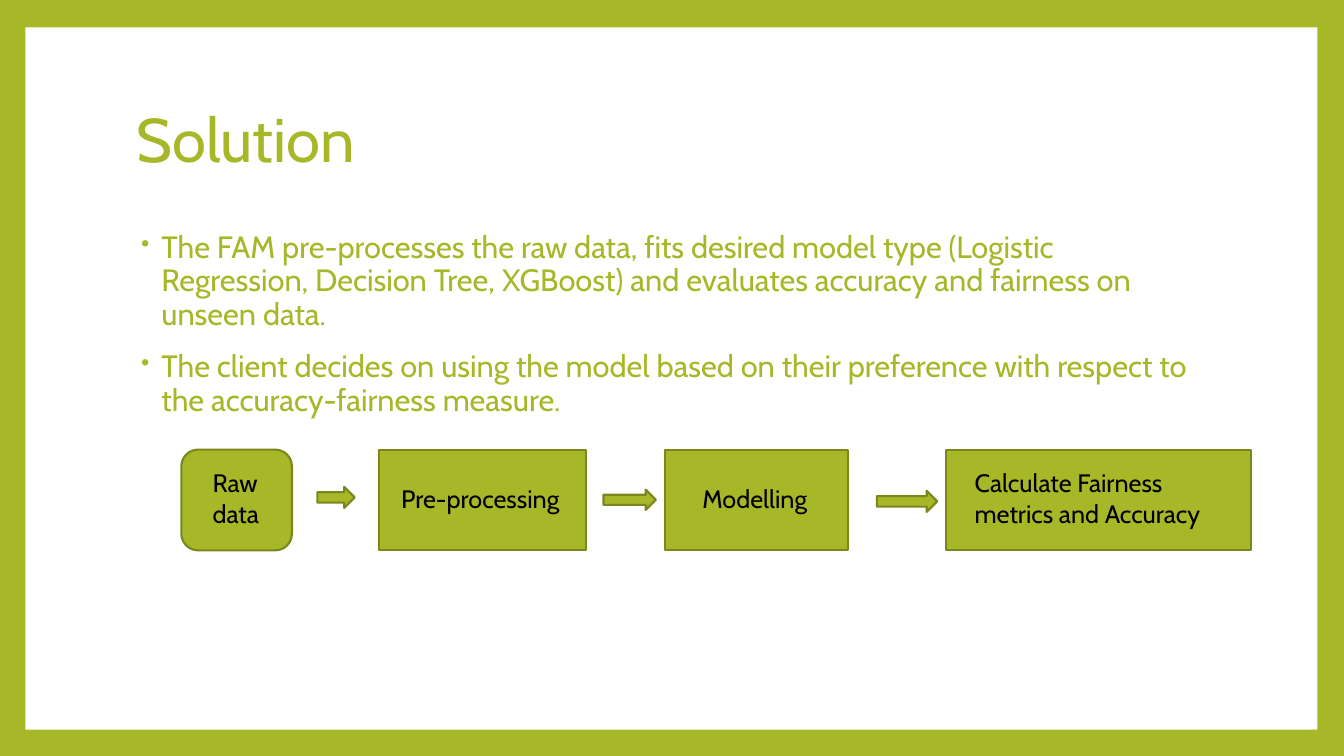
"""Build the Solution slide: two bullets above a four-step process flow."""
import dataclasses

import lxml.etree
import pptx
import pptx.dml.color
import pptx.enum.shapes
import pptx.enum.text
import pptx.oxml.ns
import pptx.util

Cm = pptx.util.Cm
Pt = pptx.util.Pt
Color = pptx.dml.color.RGBColor
Preset = pptx.enum.shapes.MSO_SHAPE
Anchor = pptx.enum.text.MSO_ANCHOR
AutoSize = pptx.enum.text.MSO_AUTO_SIZE


@dataclasses.dataclass(frozen=True)
class Theme:
    """Colours, typeface and sizes of the slide."""
    green: Color = Color(0xA6, 0xB7, 0x27)
    dark_green: Color = Color(0x7B, 0x87, 0x1D)
    white: Color = Color(0xFF, 0xFF, 0xFF)
    black: Color = Color(0, 0, 0)
    font: str = "Cabin"
    title_size: int = 44
    body_size: int = 22
    label_size: int = 18
    outline: float = 1.5


@dataclasses.dataclass(frozen=True)
class Step:
    """A process box and its label, in centimetres."""
    text: str
    left: float
    width: float
    label_left: float
    label_width: float
    label_height: float
    preset: Preset = Preset.RECTANGLE


@dataclasses.dataclass(frozen=True)
class Arrow:
    """A block arrow between two steps, in centimetres."""
    left: float
    top: float
    width: float
    height: float


THEME = Theme()
MARGIN, CONTENT_WIDTH = 3.18, 27.43
STEP_TOP, STEP_HEIGHT, LABEL_CENTRE = 11.33, 2.54, 12.56
BULLETS = [
    "The FAM pre-processes the raw data, fits desired model type (Logistic Regression, "
    "Decision Tree, XGBoost) and evaluates accuracy and fairness on unseen data.",
    "The client decides on using the model based on their preference with respect to "
    "the accuracy-fairness measure.",
]
STEPS = [
    Step("Raw data", 4.57, 2.79, 5.11, 2.59, 1.8, Preset.ROUNDED_RECTANGLE),
    Step("Pre-processing", 9.55, 5.21, 9.86, 4.9, 1.02),
    Step("Modelling", 16.76, 4.62, 17.45, 3.94, 1.02),
    Step("Calculate Fairness metrics and Accuracy", 23.85, 7.67, 24.31, 6.99, 1.8),
]
ARROWS = [
    Arrow(8, 12.27, 0.94, 0.53),
    Arrow(15.21, 12.34, 1.32, 0.51),
    Arrow(22.1, 12.37, 1.52, 0.53),
]


def style_text(para, size: int, color: Color) -> None:
    """Set the font and left alignment of a paragraph."""
    para.alignment = pptx.enum.text.PP_ALIGN.LEFT
    para.font.name = THEME.font
    para.font.size = Pt(size)
    para.font.color.rgb = color


def add_block(page, preset: Preset, left: float, top: float, width: float, height: float):
    """Add a green outlined shape."""
    block = page.shapes.add_shape(preset, Cm(left), Cm(top), Cm(width), Cm(height))
    block.shadow.inherit = False
    block.fill.solid()
    block.fill.fore_color.rgb = THEME.green
    block.line.color.rgb = THEME.dark_green
    block.line.width = Pt(THEME.outline)
    return block


def add_text(page, left: float, top: float, width: float, height: float):
    """Add a wrapping text box and return its frame."""
    box = page.shapes.add_textbox(Cm(left), Cm(top), Cm(width), Cm(height))
    box.text_frame.word_wrap = True
    return box.text_frame


def add_background(page) -> None:
    """Fill the page green and lay the white panel behind the title."""
    page.background.fill.solid()
    page.background.fill.fore_color.rgb = THEME.green
    panel = add_block(page, Preset.RECTANGLE, 0.64, 0.69, 32.56, 17.7)
    panel.fill.fore_color.rgb = THEME.white
    panel.line.fill.background()
    page.shapes.title.element.addprevious(panel.element)


def set_title(page) -> None:
    """Place and format the title."""
    title = page.shapes.title
    title.left, title.top = Cm(MARGIN), Cm(1.7)
    title.width, title.height = Cm(CONTENT_WIDTH), Cm(3.76)
    frame = title.text_frame
    frame.text = "Solution"
    frame.auto_size = AutoSize.NONE
    frame.vertical_anchor = Anchor.MIDDLE
    frame.paragraphs[0].line_spacing = 0.9
    style_text(frame.paragraphs[0], THEME.title_size, THEME.green)


def add_bullet(para) -> None:
    """Give a paragraph a hanging green bullet."""
    properties = para._p.get_or_add_pPr()
    properties.set("marL", str(Cm(0.64)))
    properties.set("indent", str(-Cm(0.51)))
    qualify = pptx.oxml.ns.qn
    color = lxml.etree.SubElement(properties, qualify("a:buClr"))
    lxml.etree.SubElement(color, qualify("a:srgbClr"), val=str(THEME.green))
    lxml.etree.SubElement(properties, qualify("a:buSzPct"), val="80000")
    lxml.etree.SubElement(properties, qualify("a:buChar"), char="•")


def add_body(page) -> None:
    """Add the bulleted text."""
    frame = add_text(page, MARGIN, 5.72, CONTENT_WIDTH, 11.23)
    frame.text = "\n".join(BULLETS)
    for para in frame.paragraphs:
        para.line_spacing = 0.9
        para.space_before = Pt(14)
        add_bullet(para)
        style_text(para, THEME.body_size, THEME.green)


def add_step(page, step: Step) -> None:
    """Add a process box with its label."""
    add_block(page, step.preset, step.left, STEP_TOP, step.width, STEP_HEIGHT)
    label_top = LABEL_CENTRE - step.label_height / 2
    frame = add_text(page, step.label_left, label_top, step.label_width, step.label_height)
    frame.auto_size = AutoSize.SHAPE_TO_FIT_TEXT
    frame.text = step.text
    style_text(frame.paragraphs[0], THEME.label_size, THEME.black)


def main() -> None:
    """Build and save the deck."""
    deck = pptx.Presentation()
    deck.slide_width, deck.slide_height = Cm(33.87), Cm(19.05)
    page = deck.slides.add_slide(deck.slide_layouts.get_by_name("Title Only"))
    add_background(page)
    set_title(page)
    add_body(page)
    for step in STEPS:
        add_step(page, step)
    for arrow in ARROWS:
        add_block(page, Preset.RIGHT_ARROW, arrow.left, arrow.top, arrow.width, arrow.height)
    deck.save("out.pptx")


if __name__ == "__main__":
    main()
